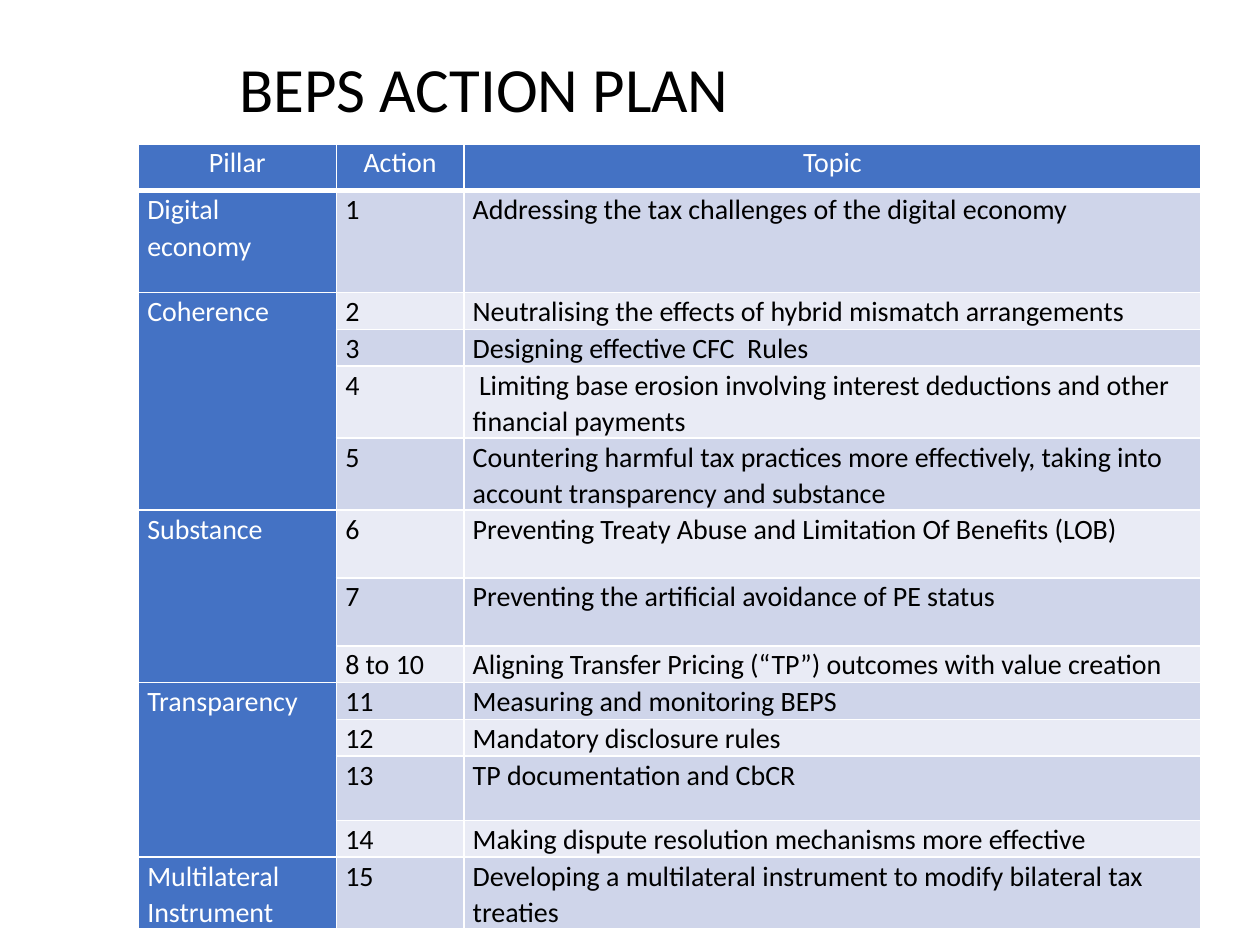
import pptx
import pptx.util
import pptx.dml.color
import pptx.enum.text
import pptx.oxml.ns
import lxml.etree
from dataclasses import dataclass

Cm = pptx.util.Cm
ALIGN = pptx.enum.text.PP_ALIGN
ANCHOR = pptx.enum.text.MSO_ANCHOR


@dataclass(frozen=True)
class Theme:
    font: str = "Calibri"
    title_size: int = 36
    table_size: int = 16
    ink: str = "000000"
    white: str = "FFFFFF"
    accent: str = "4472C4"
    bands: tuple = ("CFD5EA", "E9EBF5")


THEME = Theme()

HEADINGS = ("Pillar", "Action", "Topic")
COLUMN_WIDTHS = (3.99, 2.57, 14.86)
HEADING_HEIGHT = 0.94
ONE_LINE, TWO_LINES = 0.74, 1.45

# Each pillar holds its actions: number, topic, row height in cm
PILLARS = (
    ("Digital economy", (
        ("1", "Addressing the tax challenges of the digital economy", 2.06),
    )),
    ("Coherence", (
        ("2", "Neutralising the effects of hybrid mismatch arrangements", ONE_LINE),
        ("3", "Designing effective CFC  Rules", ONE_LINE),
        ("4", " Limiting base erosion involving interest deductions and other "
              "financial payments", TWO_LINES),
        ("5", "Countering harmful tax practices more effectively, taking into "
              "account transparency and substance", TWO_LINES),
    )),
    ("Substance", (
        ("6", "Preventing Treaty Abuse and Limitation Of Benefits (LOB)", 1.37),
        ("7", "Preventing the artificial avoidance of PE status", 1.37),
        ("8 to 10", "Aligning Transfer Pricing (“TP”) outcomes with value creation",
         ONE_LINE),
    )),
    ("Transparency", (
        ("11", "Measuring and monitoring BEPS", ONE_LINE),
        ("12", "Mandatory disclosure rules", ONE_LINE),
        ("13", "TP documentation and CbCR", 1.3),
        ("14", "Making dispute resolution mechanisms more effective", ONE_LINE),
    )),
    ("Multilateral\nInstrument", (
        ("15", "Developing a multilateral instrument to modify bilateral tax treaties",
         TWO_LINES),
    )),
)


def rgb(value):
    return pptx.dml.color.RGBColor.from_string(value)


def write_text(frame, text, size=THEME.table_size, color=THEME.ink,
               align=ALIGN.LEFT, spacing=1.07):
    """Fill a text frame, one paragraph for each line of the text."""
    frame.word_wrap = True
    for index, line in enumerate(text.split("\n")):
        paragraph = frame.paragraphs[0] if index == 0 else frame.add_paragraph()
        paragraph.alignment = align
        paragraph.line_spacing = spacing
        run = paragraph.add_run()
        run.text = line
        run.font.name = THEME.font
        run.font.size = pptx.util.Pt(size)
        run.font.bold = False
        run.font.color.rgb = rgb(color)


def set_borders(cell, bottom=1):
    """Draw white borders; they must come before the fill in the cell."""
    qn = pptx.oxml.ns.qn
    properties = cell._tc.get_or_add_tcPr()
    for index, (side, width) in enumerate(zip("LRTB", (1, 1, 1, bottom))):
        line = lxml.etree.Element(qn("a:ln" + side), w=str(pptx.util.Pt(width)))
        fill = lxml.etree.SubElement(line, qn("a:solidFill"))
        lxml.etree.SubElement(fill, qn("a:srgbClr"), val=THEME.white)
        properties.insert(index, line)


def style_cell(cell, fill, bottom=1):
    cell.margin_left = cell.margin_right = Cm(0.18)
    cell.margin_top = cell.margin_bottom = 0
    cell.fill.solid()
    cell.fill.fore_color.rgb = rgb(fill)
    set_borders(cell, bottom)


def add_title(slide, text):
    title = slide.shapes.add_textbox(Cm(4.57), Cm(0.76), Cm(20.83), Cm(2.21))
    title.text_frame.vertical_anchor = ANCHOR.MIDDLE
    write_text(title.text_frame, text, size=THEME.title_size, spacing=0.9)


def add_action_table(slide):
    heights = [HEADING_HEIGHT] + [height for _, actions in PILLARS
                                  for _, _, height in actions]
    plan = slide.shapes.add_table(
        len(heights), len(HEADINGS), Cm(2.79), Cm(2.9),
        Cm(sum(COLUMN_WIDTHS)), Cm(sum(heights))).table
    for column, width in zip(plan.columns, COLUMN_WIDTHS):
        column.width = Cm(width)
    for row, height in zip(plan.rows, heights):
        row.height = Cm(height)

    # Heading row
    for column, heading in enumerate(HEADINGS):
        cell = plan.cell(0, column)
        style_cell(cell, THEME.accent, bottom=3)
        write_text(cell.text_frame, heading, color=THEME.white, align=ALIGN.CENTER)

    # Pillars with their actions
    row = 1
    for pillar, actions in PILLARS:
        first = row
        for number, topic, _ in actions:
            band = THEME.bands[(row - 1) % 2]
            style_cell(plan.cell(row, 0), THEME.accent)
            for column, text in ((1, number), (2, topic)):
                cell = plan.cell(row, column)
                style_cell(cell, band)
                write_text(cell.text_frame, text)
            row += 1
        pillar_cell = plan.cell(first, 0)
        if len(actions) > 1:
            pillar_cell.merge(plan.cell(row - 1, 0))
        write_text(pillar_cell.text_frame, pillar, color=THEME.white)


def main():
    deck = pptx.Presentation()
    deck.slide_width, deck.slide_height = Cm(25.4), Cm(19.05)
    slide = deck.slides.add_slide(deck.slide_layouts[6])
    add_title(slide, "BEPS ACTION PLAN")
    add_action_table(slide)
    deck.save("out.pptx")


main()
